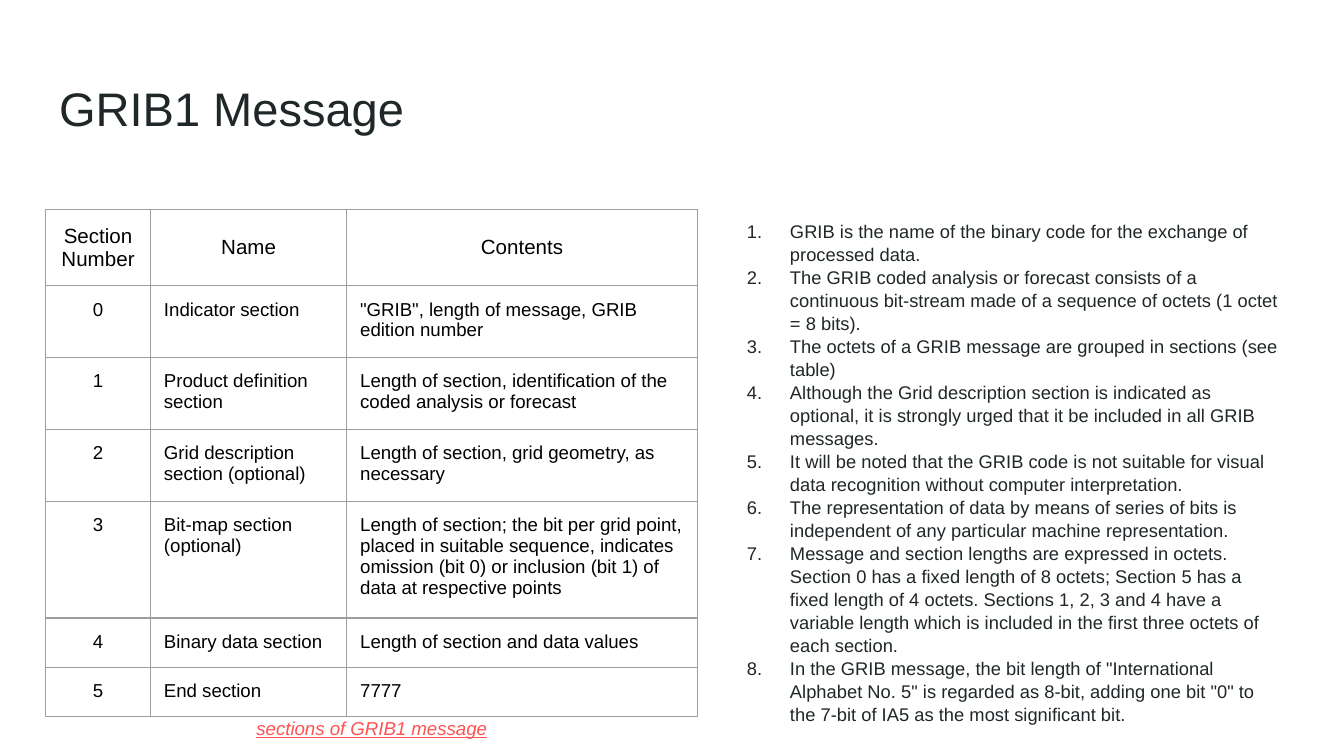
from lxml import etree
from pptx import Presentation
from pptx.dml.color import RGBColor
from pptx.enum.text import MSO_ANCHOR, MSO_AUTO_SIZE, PP_ALIGN
from pptx.oxml.ns import qn
from pptx.util import Inches, Pt

LEFT, CENTER = PP_ALIGN.LEFT, PP_ALIGN.CENTER
TOP, MIDDLE = MSO_ANCHOR.TOP, MSO_ANCHOR.MIDDLE
NO_FIT = MSO_AUTO_SIZE.NONE

INK = RGBColor(0x20, 0x27, 0x29)
BLACK = RGBColor(0, 0, 0)
CORAL = RGBColor(0xFF, 0x52, 0x52)
GRID_GRAY = RGBColor(0x9E, 0x9E, 0x9E)

FONT = "Arial"
SLIDE_WIDTH = 10
SLIDE_HEIGHT = SLIDE_WIDTH * 9 / 16
INSET = 0.1
TITLE_BOX = (0.34, 0.49, 9.32, 0.63)
TABLE_BOX = (0.34, 1.56, 3.28, 3.28)
CAPTION_BOX = (0.54, 5.29, 4.45, 0.26)
NOTES_BOX = (5.28, 1.53, 4.37, 3.77)
COLUMN_WIDTHS = (0.78, 1.46, 2.61)
HEADER_HEIGHT, ROW_HEIGHT, TALL_ROW_HEIGHT = 0.46, 0.3, 0.43

HEADINGS = ("Section Number", "Name", "Contents")
SECTIONS = [
    ("Indicator section", '"GRIB", length of message, GRIB edition number', ROW_HEIGHT),
    ("Product definition section",
     "Length of section, identification of the coded analysis or forecast", ROW_HEIGHT),
    ("Grid description section (optional)",
     "Length of section, grid geometry, as necessary", ROW_HEIGHT),
    ("Bit-map section (optional)",
     "Length of section; the bit per grid point, placed in suitable sequence, "
     "indicates omission (bit 0) or inclusion (bit 1) of data at respective points",
     TALL_ROW_HEIGHT),
    ("Binary data section", "Length of section and data values", ROW_HEIGHT),
    ("End section", "7777", ROW_HEIGHT),
]
NOTES = [
    "GRIB is the name of the binary code for the exchange of processed data.",
    "The GRIB coded analysis or forecast consists of a continuous bit-stream made of "
    "a sequence of octets (1 octet = 8 bits).",
    "The octets of a GRIB message are grouped in sections (see table)",
    "Although the Grid description section is indicated as optional, it is strongly "
    "urged that it be included in all GRIB messages.",
    "It will be noted that the GRIB code is not suitable for visual data recognition "
    "without computer interpretation.",
    "The representation of data by means of series of bits is independent of any "
    "particular machine representation.",
    "Message and section lengths are expressed in octets. Section 0 has a fixed length "
    "of 8 octets; Section 5 has a fixed length of 4 octets. Sections 1, 2, 3 and 4 have "
    "a variable length which is included in the first three octets of each section.",
    'In the GRIB message, the bit length of "International Alphabet No. 5" is regarded '
    'as 8-bit, adding one bit "0" to the 7-bit of IA5 as the most significant bit.',
]


def write(frame, *lines, size, color=INK, align=LEFT, spacing=1.0,
          italic=False, underline=False):
    frame.word_wrap = True
    for index, line in enumerate(lines):
        paragraph = frame.paragraphs[0] if index == 0 else frame.add_paragraph()
        paragraph.alignment = align
        paragraph.line_spacing = spacing
        paragraph.space_before = paragraph.space_after = Pt(0)
        run = paragraph.add_run()
        run.text = line
        run.font.name = FONT
        run.font.size = Pt(size)
        run.font.color.rgb = color
        run.font.italic = italic
        run.font.underline = underline


def pad(holder):
    holder.margin_left = holder.margin_right = Inches(INSET)
    holder.margin_top = holder.margin_bottom = Inches(INSET)


def add_text_area(slide, box, anchor):
    frame = slide.shapes.add_textbox(*map(Inches, box)).text_frame
    pad(frame)
    frame.vertical_anchor = anchor
    return frame


def number_paragraph(paragraph):
    properties = paragraph._p.get_or_add_pPr()
    properties.set("marL", str(Inches(0.5)))
    properties.set("indent", str(Inches(-0.32)))
    bullet_color = etree.SubElement(properties, qn("a:buClr"))
    etree.SubElement(bullet_color, qn("a:srgbClr"), val=str(INK))
    etree.SubElement(properties, qn("a:buFont"), typeface=FONT)
    etree.SubElement(properties, qn("a:buAutoNum"), type="arabicPeriod")


def outline_cell(cell):
    cell.fill.background()
    properties = cell._tc.get_or_add_tcPr()
    for index, side in enumerate(("lnL", "lnR", "lnT", "lnB")):
        border = etree.Element(qn(f"a:{side}"), w=str(Pt(0.75)))
        fill = etree.SubElement(border, qn("a:solidFill"))
        etree.SubElement(fill, qn("a:srgbClr"), val=str(GRID_GRAY))
        properties.insert(index, border)


def place_title(slide, box):
    title = slide.shapes.title
    title.left, title.top, title.width, title.height = map(Inches, box)
    frame = title.text_frame
    pad(frame)
    frame.auto_size = NO_FIT
    frame.vertical_anchor = TOP
    write(frame, "GRIB1 Message", size=25.2)


def place_sections(slide, box):
    rows = [HEADINGS] + [(str(number), name, contents)
                         for number, (name, contents, _) in enumerate(SECTIONS)]
    heights = [HEADER_HEIGHT] + [height for _, _, height in SECTIONS]
    holder = slide.shapes.add_table(len(rows), len(HEADINGS), *map(Inches, box))
    table = holder.table
    table.first_row = table.horz_banding = False
    for column, width in zip(table.columns, COLUMN_WIDTHS):
        column.width = Inches(width)
    for row_index, (texts, height) in enumerate(zip(rows, heights)):
        table.rows[row_index].height = Inches(height)
        is_header = row_index == 0
        for column_index, text in enumerate(texts):
            cell = table.cell(row_index, column_index)
            pad(cell)
            cell.vertical_anchor = MIDDLE if is_header else TOP
            write(cell.text_frame, text, size=11 if is_header else 10, color=BLACK,
                  align=CENTER if is_header or column_index == 0 else LEFT)
            outline_cell(cell)
    holder.width, holder.height = map(Inches, box[2:])


def place_caption(slide, box):
    write(add_text_area(slide, box, MIDDLE), "sections of GRIB1 message", size=10,
          color=CORAL, align=CENTER, italic=True, underline=True)


def place_notes(slide, box):
    frame = add_text_area(slide, box, TOP)
    write(frame, *NOTES, size=9.8, spacing=1.05)
    for paragraph in frame.paragraphs:
        number_paragraph(paragraph)


def main():
    deck = Presentation()
    deck.slide_width, deck.slide_height = Inches(SLIDE_WIDTH), Inches(SLIDE_HEIGHT)
    slide = deck.slides.add_slide(deck.slide_layouts[5])
    place_notes(slide, NOTES_BOX)
    place_title(slide, TITLE_BOX)
    place_caption(slide, CAPTION_BOX)
    place_sections(slide, TABLE_BOX)
    deck.save("out.pptx")


if __name__ == "__main__":
    main()
